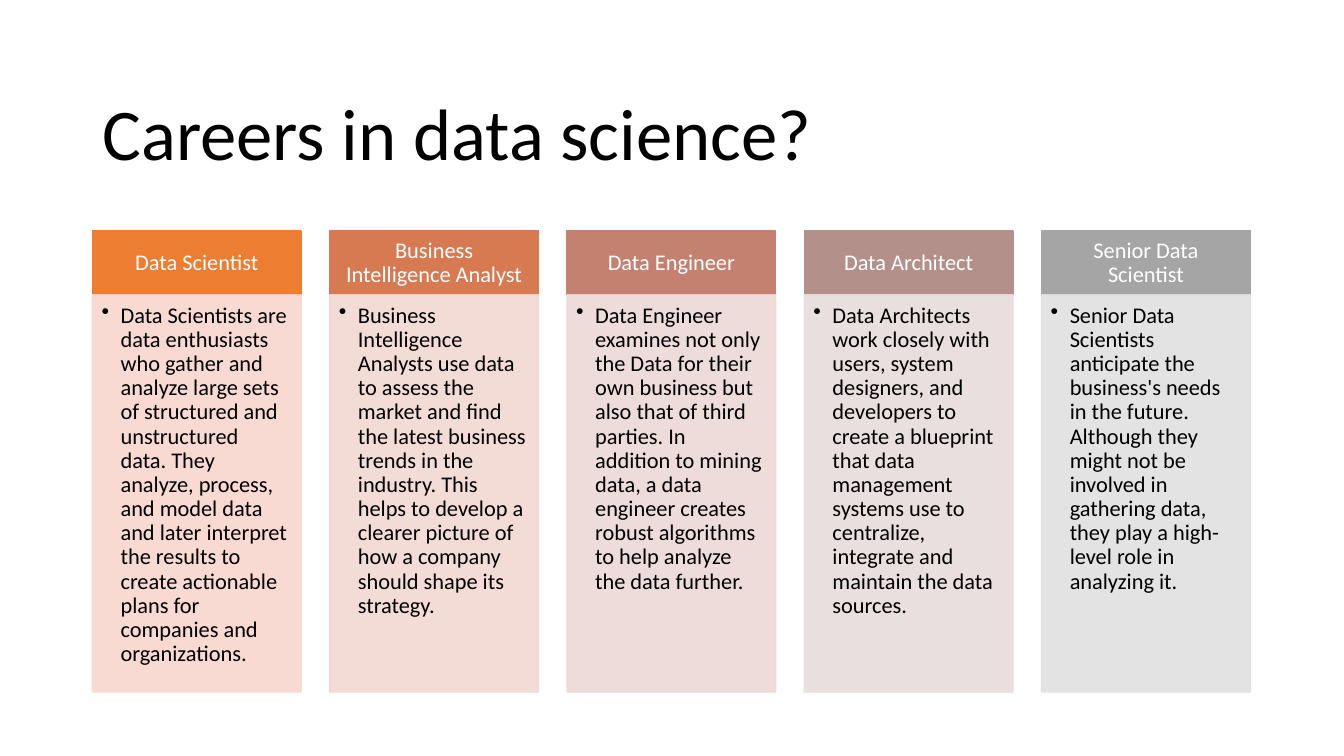
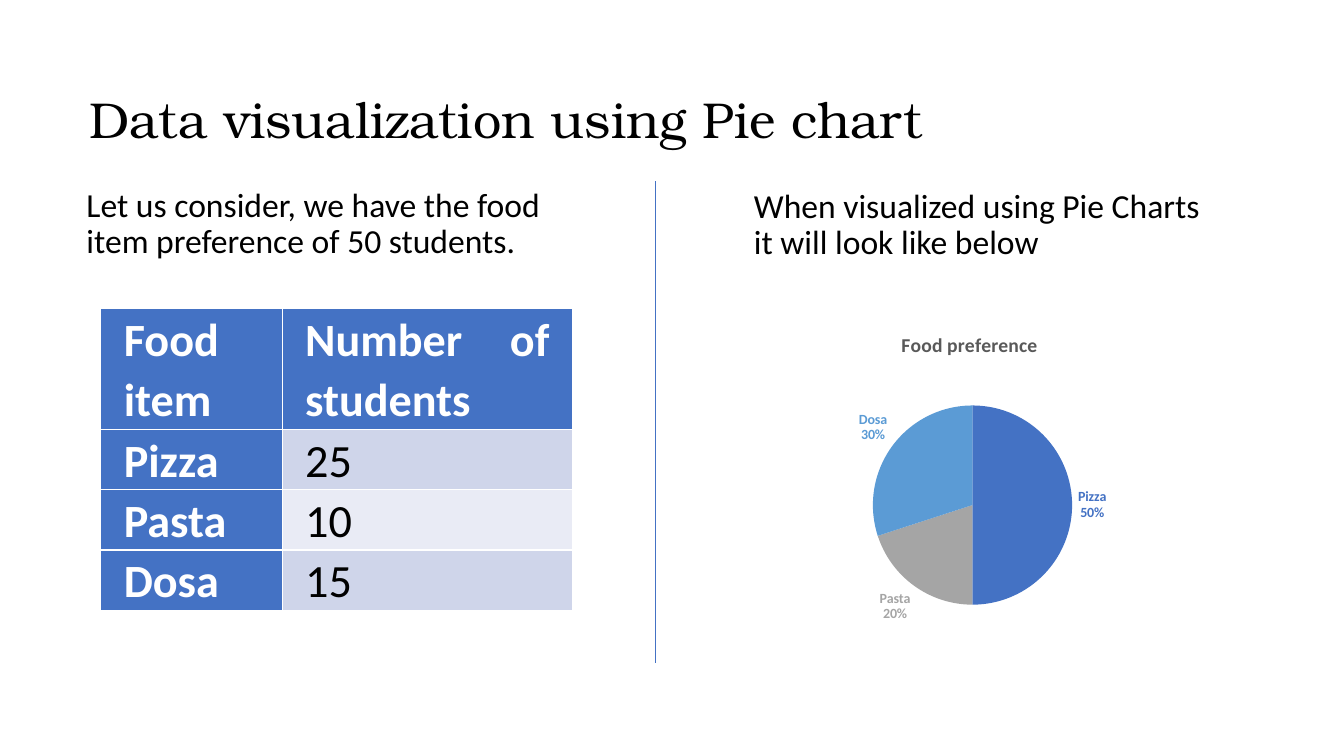
from dataclasses import dataclass
from lxml.etree import SubElement
from pptx import Presentation
from pptx.chart.data import CategoryChartData
from pptx.dml.color import RGBColor as RGB
from pptx.enum.chart import XL_CHART_TYPE as Chart, XL_LABEL_POSITION as LabelPos
from pptx.enum.shapes import MSO_CONNECTOR as Connector, MSO_SHAPE as Shape
from pptx.enum.text import MSO_ANCHOR as Anchor, MSO_AUTO_SIZE as AutoSize, PP_ALIGN as Align
from pptx.oxml.ns import qn
from pptx.util import Cm, Pt


@dataclass(frozen=True)
class Theme:
    """Colours, fonts and type sizes that the slides share."""
    black: str = "000000"
    white: str = "FFFFFF"
    grey: str = "595959"
    blue: str = "4472C4"
    bands: tuple = ("CFD5EA", "E9EBF5")
    slices: tuple = ("4472C4", "A5A5A5", "5B9BD5")
    font: str = "Calibri"
    serif: str = "TeX Gyre Bonum"
    title: int = 52
    subtitle: int = 36
    table: int = 33
    lead: int = 24
    card: int = 16
    chart_title: int = 14
    label: int = 10


T = Theme()

CAREERS = [
    ("Data Scientist", "ED7D31", "F8D7CE",
     "Data Scientists are data enthusiasts who gather and analyze large sets of structured "
     "and unstructured data. They analyze, process, and model data and later interpret the "
     "results to create actionable plans for companies and organizations."),
    ("Business Intelligence Analyst", "D87A51", "F2D8D2",
     "Business Intelligence Analysts use data to assess the market and find the latest "
     "business trends in the industry. This helps to develop a clearer picture of how a "
     "company should shape its strategy."),
    ("Data Engineer", "C48170", "EDD9D7",
     "Data Engineer examines not only the Data for their own business but also that of third "
     "parties. In addition to mining data, a data engineer creates robust algorithms to help "
     "analyze the data further."),
    ("Data Architect", "B4908B", "E7DCDC",
     "Data Architects work closely with users, system designers, and developers to create a "
     "blueprint that data management systems use to centralize, integrate and maintain the "
     "data sources."),
    ("Senior Data Scientist", "A5A5A5", "E1E1E1",
     "Senior Data Scientists anticipate the business's needs in the future. Although they "
     "might not be involved in gathering data, they play a high-level role in analyzing it."),
]
FOOD_ROWS = [("Food item", "Number of students"), ("Pizza", "25"), ("Pasta", "10"), ("Dosa", "15")]
FOOD_SHARES = {"Pizza": 50, "Pasta": 20, "Dosa": 30}
LEADS = [
    ("Let us consider, we have the food item preference of 50 students.", (1.93, 4.09, 13.08, 3.15)),
    ("When visualized using Pie Charts it will look like below", (18.75, 3.07, 11.89, 5.23)),
]


def cms(*lengths):
    """Turn numbers into centimetre lengths."""
    return [Cm(n) for n in lengths]


def set_all(obj, **values):
    """Set several attributes of one object."""
    for name, value in values.items():
        setattr(obj, name, value)


def set_font(font, size, color, name=T.font, bold=False):
    """Format a font."""
    set_all(font, size=Pt(size), name=name, bold=bold)
    font.color.rgb = RGB.from_string(color)


def write(tf, text, size, color, name=T.font, bold=False, align=Align.LEFT,
          spacing=0.9, anchor=Anchor.MIDDLE):
    """Fill a text frame with one formatted paragraph."""
    set_all(tf, word_wrap=True, auto_size=AutoSize.NONE, vertical_anchor=anchor)
    p = tf.paragraphs[0]
    set_all(p, alignment=align, line_spacing=spacing)
    r = p.add_run()
    r.text = text
    set_font(r.font, size, color, name, bold)
    return p


def set_margins(obj, left, top, right, bottom):
    """Set the inner margins of a text frame or cell."""
    set_all(obj, margin_left=Cm(left), margin_top=Cm(top),
            margin_right=Cm(right), margin_bottom=Cm(bottom))


def add_slide(prs, title, box, size, **style):
    """Add a title-only slide with its title placed."""
    s = prs.slides.add_slide(prs.slide_layouts[5])
    sp = s.shapes.title
    set_all(sp, **dict(zip(("left", "top", "width", "height"), cms(*box))))
    write(sp.text_frame, title, size, T.black, **style)
    return s


def add_panel(s, box, color, margins, alpha=None):
    """Add a filled rectangle and return its text frame."""
    sp = s.shapes.add_shape(Shape.RECTANGLE, *cms(*box))
    sp.shadow.inherit = False
    sp.line.width = Pt(1)
    for fill in (sp.fill, sp.line.fill):
        fill.solid()
        fill.fore_color.rgb = RGB.from_string(color)
    if alpha:
        for clr in sp.element.spPr.iter(qn("a:srgbClr")):
            SubElement(clr, qn("a:alpha"), val=str(alpha * 1000))
    set_margins(sp.text_frame, *margins)
    return sp.text_frame


def add_bullet(p, indent):
    """Give a paragraph a hanging bullet."""
    pPr = p._p.get_or_add_pPr()
    pPr.set("marL", str(Cm(indent)))
    pPr.set("indent", str(-Cm(indent)))
    SubElement(pPr, qn("a:buChar"), char="•")


def build_careers(prs):
    """Build the slide with one column per career."""
    s = add_slide(prs, "Careers in data science?", (2.33, 1.88, 29.21, 3.15), T.title)
    left, pitch, width, top, head, body = 2.33, 5.98, 5.26, 5.82, 1.61, 10.01
    for i, (name, dark, light, text) in enumerate(CAREERS):
        x = left + i * pitch
        tf = add_panel(s, (x, top, width, head), dark, (0.3, 0.18, 0.3, 0.18))
        write(tf, name, T.card, T.white, align=Align.CENTER)
        tf = add_panel(s, (x, top + head, width, body), light, (0.23, 0.23, 0.3, 0.36), 90)
        add_bullet(write(tf, text, T.card, T.black, anchor=Anchor.TOP), 0.48)


def add_food_table(s):
    """Add the table of food preferences."""
    widths, heights = (4.57, 7.32), (3.03, 1.52, 1.52, 1.52)
    tbl = s.shapes.add_table(len(heights), len(widths),
                             *cms(2.54, 7.77, sum(widths), sum(heights))).table
    tbl.first_col = True
    for col, width in zip(tbl.columns, widths):
        col.width = Cm(width)
    for i, (row, height) in enumerate(zip(tbl.rows, heights)):
        row.height = Cm(height)
        for j, cell in enumerate(row.cells):
            heading = i == 0 or j == 0
            color = T.blue if heading else T.bands[(i - 1) % 2]
            cell.fill.solid()
            cell.fill.fore_color.rgb = RGB.from_string(color)
            set_margins(cell, 0.58, 0, 0.58, 0)
            p = cell.text_frame.paragraphs[0]
            set_all(p, alignment=Align.JUSTIFY, line_spacing=1.07)
            r = p.add_run()
            r.text = FOOD_ROWS[i][j]
            set_font(r.font, T.table, T.white if heading else T.black, bold=heading)


def place_plot(chart, **box):
    """Fix the inner plot area as fractions of the chart."""
    area = chart.element.find(".//" + qn("c:plotArea"))
    for old in area.findall(qn("c:layout")):
        area.remove(old)
    layout = area.makeelement(qn("c:layout"))
    area.insert(0, layout)
    manual = SubElement(layout, qn("c:manualLayout"))
    values = dict(layoutTarget="inner", xMode="edge", yMode="edge", **box)
    for tag, value in values.items():
        SubElement(manual, qn("c:" + tag), val=str(value))


def add_food_chart(s):
    """Add the pie chart of food preferences."""
    data = CategoryChartData()
    data.categories = list(FOOD_SHARES)
    data.add_series("Series 1", list(FOOD_SHARES.values()))
    chart = s.shapes.add_chart(Chart.PIE, *cms(16.94, 7.95, 14.99, 8.1), data).chart
    set_font(chart.font, T.label, T.black)
    set_all(chart, has_legend=False, has_title=True)
    r = chart.chart_title.text_frame.paragraphs[0].add_run()
    r.text = "Food preference"
    set_font(r.font, T.chart_title, T.grey, bold=True)
    plot = chart.plots[0]
    plot.vary_by_categories = True
    for i, color in enumerate(T.slices):
        point = plot.series[0].points[i]
        point.format.fill.solid()
        point.format.fill.fore_color.rgb = RGB.from_string(color)
        set_font(point.data_label.font, T.label, color, bold=True)
        point.data_label.position = LabelPos.OUTSIDE_END
    for label in chart.element.iter(qn("c:dLbl")):
        for tag, shown in (("showVal", 0), ("showCatName", 1), ("showPercent", 1)):
            label.find(qn("c:" + tag)).set("val", str(shown))
        SubElement(label, qn("c:separator")).text = "\n"
    place_plot(chart, x=0.32, y=0.28, w=0.37, h=0.62)


def build_pie(prs):
    """Build the slide that pairs a table with a pie chart."""
    s = add_slide(prs, "Data visualization using Pie chart", (0, 1.24, 25.5, 3.68),
                  T.subtitle, name=T.serif, align=Align.CENTER)
    add_food_table(s)
    add_food_chart(s)
    for text, box in LEADS:
        write(s.shapes.add_textbox(*cms(*box)).text_frame, text, T.lead, T.black)
    line = s.shapes.add_connector(Connector.STRAIGHT, *cms(16.51, 4.57, 16.51, 16.71))
    line.line.width = Pt(0.5)
    line.line.color.rgb = RGB.from_string(T.blue)
    SubElement(line.element.spPr, qn("a:effectLst"))


def main():
    """Build and save the presentation."""
    prs = Presentation()
    set_all(prs, slide_width=Cm(33.87), slide_height=Cm(19.05))
    build_careers(prs)
    build_pie(prs)
    prs.save("out.pptx")


if __name__ == "__main__":
    main()
